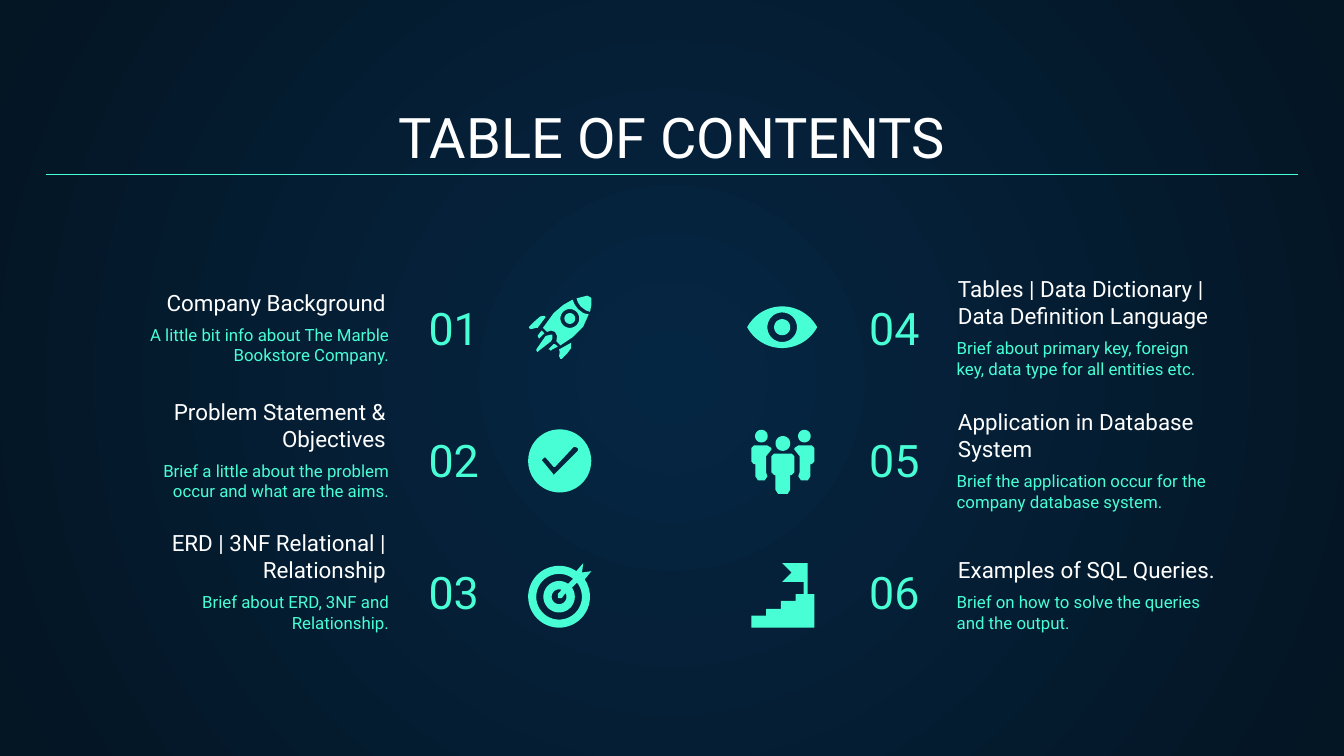
from math import cos, radians, sin

from lxml.etree import SubElement
from pptx import Presentation
from pptx.dml.color import RGBColor
from pptx.enum.shapes import MSO_CONNECTOR
from pptx.enum.text import MSO_ANCHOR, PP_ALIGN
from pptx.oxml.ns import qn
from pptx.util import Inches, Pt

INK = {"mint": "48FFD5", "white": "FFFFFF", "glow": "052643", "night": "041523"}
FONT = "Roboto"
COLS, ROWS = 100, 56.25  # grid of square cells
CELL = Inches(0.1)
LEFT, RIGHT = PP_ALIGN.LEFT, PP_ALIGN.RIGHT


def cells(*nums):
    return [round(n * CELL) for n in nums]


def tint(name):
    return RGBColor.from_string(INK[name])


def write(slide, text, box, size=9, color="mint", align=LEFT, anchor=MSO_ANCHOR.TOP):
    frame = slide.shapes.add_textbox(*cells(*box)).text_frame
    frame.word_wrap = True
    frame.vertical_anchor = anchor
    frame.margin_left = frame.margin_right = CELL
    frame.margin_top = frame.margin_bottom = CELL
    para = frame.paragraphs[0]
    para.alignment = align
    run = para.add_run()
    run.text = text
    run.font.name, run.font.size = FONT, Pt(size)
    run.font.color.rgb = tint(color)


# Icon outlines, in tenths of a cell
def arc(x, y, r, start=0, end=360, steps=48):
    turns = [radians(start + (end - start) * i / steps) for i in range(steps + 1)]
    return [(x + r * cos(t), y + r * sin(t)) for t in turns]


def flip(points):
    return [(47 - x, y) for x, y in points]


def rocket():
    hull = [(33, 3), (26, 7), (19, 13), (11, 24), (14, 27), (17, 26), (20, 27),
            (21.5, 30), (21, 34), (24, 37), (33, 31), (41, 23), (45, 14),
            (41, 13), (37, 10), (34.5, 6.5)]
    nose = [(44, 0), (36, 2), (37, 5), (39, 8), (43, 11), (46, 12), (47, 7),
            (47, 2), (46, 1)]
    fins = [[(12, 15), (9, 15.5), (5, 19), (1, 23), (0.5, 24), (2, 25), (6, 24),
             (7, 24), (13, 16)],
            [(32, 35), (23, 40), (23.5, 42), (23, 45), (24, 47), (25, 47),
             (29, 43), (32, 39)]]
    flames = [[(10, 26), (8, 28.5), (7, 30), (8, 32), (11, 29), (12, 28)],
              [(20, 36), (19, 36), (15, 40), (16, 40), (17, 41), (18, 40), (22, 38)],
              [(17, 29), (13, 30), (6, 40), (6, 41), (7, 42), (8, 41), (17, 34),
               (18, 32), (18, 29)]]
    parts = [[p] for p in fins + flames + [nose]]
    return parts + [[hull, arc(31, 17, 7)], [arc(31, 17, 4)]]


def check():
    tick = [(34, 13), (35, 13), (37, 14), (37, 16), (20, 33), (19, 34), (18.5, 33),
            (11, 24), (10, 23), (12, 21), (13, 21), (19, 28), (20, 28)]
    return [[arc(23.5, 23.5, 23.5), tick]]


def target():
    rim = arc(23, 25, 23, -34, 304) + [(41, 0), (40, 7), (47, 6)]
    band = arc(23, 25, 17, -38, 308) + arc(23, 25, 11.7, 305, -35)
    core = arc(23, 25, 5.5, -30, 290) + [(22, 23), (22, 26), (25, 26)]
    gap = arc(23, 25, 17, -38, 308)
    return [[rim, band, core]] if gap else []


def eye():
    lids = arc(23, 37.6, 29.6, 208.5, 331.5) + arc(23, 9.4, 29.6, 28.5, 151.5)
    return [[lids, arc(23, 23.5, 11), arc(23, 23.5, 6)]]


def team():
    side = [(2, 12), (0, 14), (0, 24), (2, 26), (3, 26), (3, 35), (5, 38), (10, 38),
            (12, 35), (11, 32), (11, 20), (15, 15), (15, 14), (12, 12)]
    half = [(17, 18), (15, 20), (15, 32), (17, 34), (18, 34), (18, 45), (20, 48)]
    head = arc(7.5, 5, 4.7)
    lead = half + flip(half)[::-1]
    return [[p] for p in (head, side, flip(head), flip(side), lead,
                          arc(23.5, 10.5, 5.5))]


def stairs():
    return [[[(23, 0), (30, 7), (23, 14), (39, 14), (39, 23), (33, 23), (33, 28),
              (22, 28), (22, 34), (11, 34), (11, 39), (0, 39), (0, 48), (47, 48),
              (47, 23), (42, 23), (42, 0)]]]


def icon(slide, parts, x, y):
    for part in parts:
        rings = [[cells(x + a / 10, y + b / 10) for a, b in ring] for ring in part]
        pen = slide.shapes.build_freeform(*rings[0][0])
        pen.add_line_segments(rings[0][1:])
        for ring in rings[1:]:
            pen.move_to(*ring[0])
            pen.add_line_segments(ring[1:])
        shape = pen.convert_to_shape()
        shape.shadow.inherit = False
        shape.fill.solid()
        shape.fill.fore_color.rgb = tint("mint")
        shape.line.fill.background()


def backdrop(slide):
    fill = slide.background.fill
    fill.gradient()
    for stop, name in zip(fill.gradient_stops, ("glow", "night")):
        stop.color.rgb = tint(name)
    # Radial shade from the centre
    grad = slide.element.find(".//" + qn("a:gradFill"))
    grad.remove(grad.find(qn("a:lin")))
    shade = SubElement(grad, qn("a:path"), path="circle")
    SubElement(shade, qn("a:fillToRect"), l="50000", t="50000", r="50000", b="50000")


def header(slide, x, y, w, h):
    write(slide, "TABLE OF CONTENTS", (x, y, w, h), size=30, color="white",
          align=PP_ALIGN.CENTER, anchor=MSO_ANCHOR.BOTTOM)
    rule = slide.shapes.add_connector(MSO_CONNECTOR.STRAIGHT,
                                      *cells(x, y + 6, x + w, y + 6))
    rule.line.color.rgb = tint("mint")
    rule.line.width = Pt(0.75)
    SubElement(rule.element.spPr, qn("a:effectLst"))


def column(slide, x, y, items, first, align):
    """Three entries; the left column is ranged right, the right one left."""
    left = align == RIGHT
    head, note, num, art = (0, 0.9, 23.9, 32.3) if left else (13.8, 13.7, 0, -0.6)
    for i, (title, text, drop, draw) in enumerate(items):
        top = y + 9.8 * i
        write(slide, title, (x + head, top + drop, 22.7, 2.1), size=12,
              color="white", align=align, anchor=MSO_ANCHOR.BOTTOM)
        write(slide, text, (x + note, top + drop + 0.75, 22 if left else 20.7, 5.5),
              align=align)
        write(slide, f"{first + i:02}", (x + num, top, 12.9, 6.6), size=24,
              align=LEFT if left else RIGHT, anchor=MSO_ANCHOR.BOTTOM)
        icon(slide, draw(), x + art, y + 1.2 + 9.95 * i)


# Title, note, drop below the row's top, icon
STUDY = [
    ("Company Background", "A little bit info about The Marble Bookstore Company.",
     1.6, rocket),
    ("Problem Statement & Objectives",
     "Brief a little about the problem occur and what are the aims.", 1.9, check),
    ("ERD | 3NF Relational | Relationship", "Brief about ERD, 3NF and Relationship.",
     1.9, target),
]
BUILD = [
    ("Tables | Data Dictionary | Data Definition Language",
     "Brief about primary key, foreign key, data type for all entities etc.", 2.6, eye),
    ("Application in Database System",
     "Brief the application occur for the company database system.", 2.7, team),
    ("Examples of SQL Queries.", "Brief on how to solve the queries and the output.",
     1.9, stairs),
]


def main():
    deck = Presentation()
    deck.slide_width, deck.slide_height = cells(COLS, ROWS)
    slide = deck.slides.add_slide(deck.slide_layouts[6])
    backdrop(slide)
    header(slide, 3.4, 7, COLS - 6.8, 6.6)
    column(slide, 7, 20.8, STUDY, 1, RIGHT)
    column(slide, 56.5, 20.8, BUILD, 4, LEFT)
    deck.save("out.pptx")


if __name__ == "__main__":
    main()
